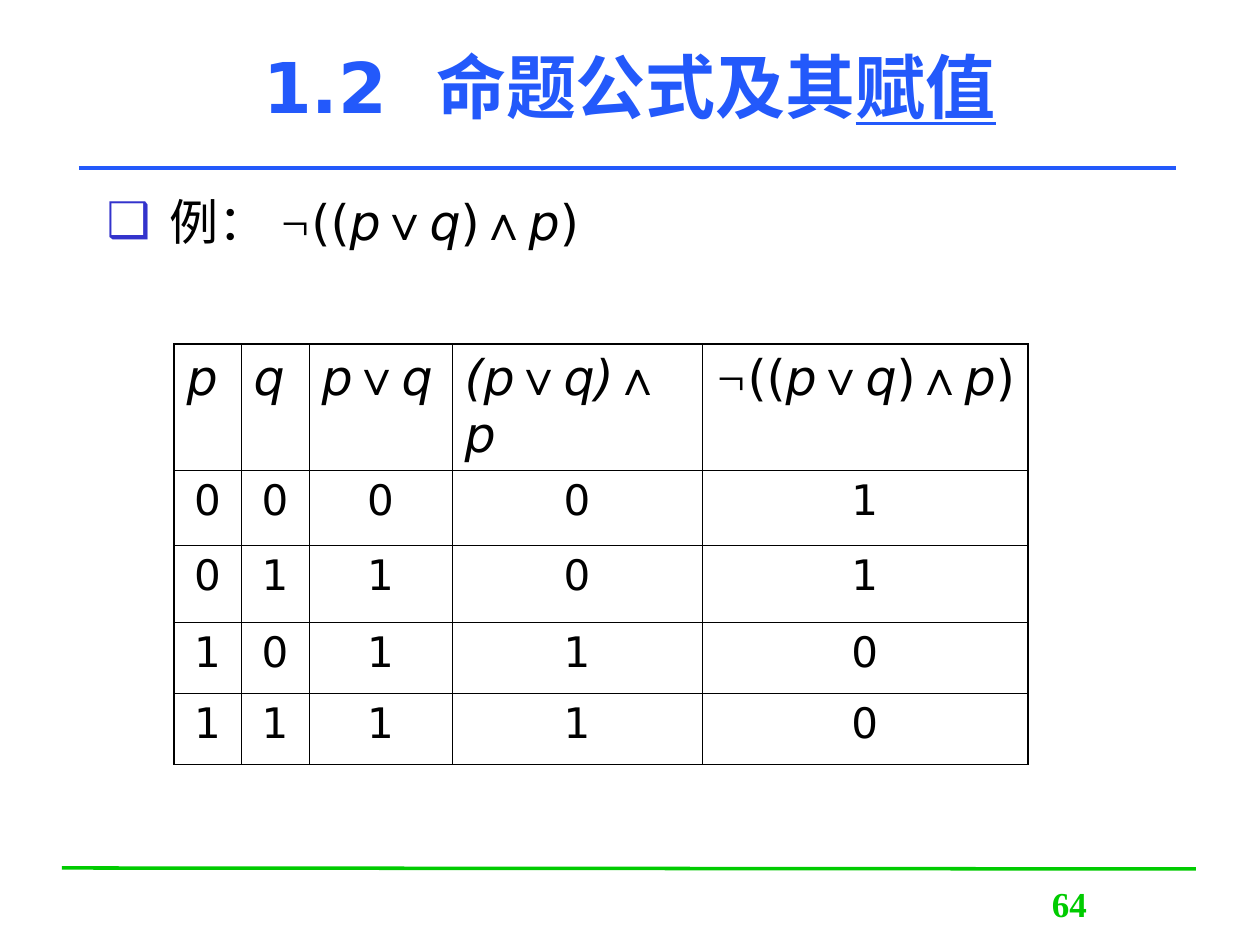
from itertools import groupby

from lxml import etree
from pptx import Presentation
from pptx.dml.color import RGBColor
from pptx.enum.shapes import MSO_CONNECTOR
from pptx.enum.text import MSO_ANCHOR, MSO_AUTO_SIZE, PP_ALIGN
from pptx.oxml.ns import qn
from pptx.util import Emu, Pt

STRAIGHT = MSO_CONNECTOR.STRAIGHT
LEFT, CENTER = PP_ALIGN.LEFT, PP_ALIGN.CENTER
TOP, MIDDLE = MSO_ANCHOR.TOP, MSO_ANCHOR.MIDDLE
NO_AUTOFIT = MSO_AUTO_SIZE.NONE

BLUE = RGBColor(0x23, 0x59, 0xFB)
GREEN = RGBColor(0x00, 0xCB, 0x00)
INDIGO = RGBColor(0x33, 0x33, 0xCC)
BLACK = RGBColor(0x00, 0x00, 0x00)

SANS, SERIF, SYMBOL = "DejaVu Sans", "Times New Roman", "Arial"
OUTER, INNER = Pt(1.08), Pt(0.45)

FORMULA = "¬((p∨q)∧p)"
HEADERS = ["p", "q", "p∨q", "(p∨q)∧p", FORMULA]
TRUTH_ROWS = ["00001", "01101", "10110", "11110"]
COLUMN_WIDTHS = [67, 68, 143, 250, 326]
ROW_HEIGHTS = [72, 75, 77, 71, 71]


def px(value):
    return Emu(round(value * 914400 / 126))


def write(paragraph, text, font=SANS, size=28, color=BLACK, bold=False,
          italic=False, underline=False, spacing=None):
    run = paragraph.add_run()
    run.text = text
    run.font.name = font
    run.font.size = Pt(size)
    run.font.color.rgb = color
    run.font.bold = bold
    run.font.italic = italic
    run.font.underline = underline
    properties = run._r.get_or_add_rPr()
    properties.set("lang", "zh-CN")
    if spacing:
        properties.set("spc", str(spacing * 100))


def write_formula(paragraph, formula, italic_brackets=False):
    """Letters are italic, operators upright in the symbol font."""
    def style(character):
        if character == "¬":
            return SERIF, True
        if character in "∨∧":
            return SYMBOL, False
        return SANS, character.isalpha() or italic_brackets

    for (font, italic), characters in groupby(formula, style):
        write(paragraph, "".join(characters), font=font, italic=italic)


def prepare_frame(shape, alignment, anchor=TOP):
    frame = shape.text_frame
    frame.word_wrap = True
    frame.auto_size = NO_AUTOFIT
    frame.vertical_anchor = anchor
    paragraph = frame.paragraphs[0]
    paragraph.alignment = alignment
    paragraph.space_before = Pt(0)
    return paragraph


def place(shape, left, top, width, height):
    shape.left, shape.top = px(left), px(top)
    shape.width, shape.height = px(width), px(height)


def add_rule(slide, start, end, color):
    line = slide.shapes.add_connector(STRAIGHT, *map(px, start + end))
    line.line.color.rgb = color
    line.line.width = Pt(2)
    etree.SubElement(line._element.spPr, qn("a:effectLst"))


def add_bullet(paragraph, character, color, indent):
    properties = paragraph._p.get_or_add_pPr()
    properties.set("marL", str(indent))
    properties.set("indent", str(-indent))
    bullet_color = etree.SubElement(properties, qn("a:buClr"))
    etree.SubElement(bullet_color, qn("a:srgbClr"), val=str(color))
    etree.SubElement(properties, qn("a:buChar"), char=character)


def set_borders(cell, widths):
    properties = cell._tc.get_or_add_tcPr()
    for position, (side, width) in enumerate(widths.items()):
        border = etree.Element(qn(f"a:ln{side}"), w=str(width))
        fill = etree.SubElement(border, qn("a:solidFill"))
        etree.SubElement(fill, qn("a:srgbClr"), val=str(BLACK))
        properties.insert(position, border)


def add_truth_table(slide, left, top):
    row_count, column_count = len(ROW_HEIGHTS), len(COLUMN_WIDTHS)
    table = slide.shapes.add_table(
        row_count, column_count, px(left), px(top),
        px(sum(COLUMN_WIDTHS)), px(sum(ROW_HEIGHTS))).table
    table.first_row = table.horz_banding = False
    for column, width in zip(table.columns, COLUMN_WIDTHS):
        column.width = px(width)
    for row, height in zip(table.rows, ROW_HEIGHTS):
        row.height = px(height)

    for row, values in enumerate([HEADERS, *TRUTH_ROWS]):
        for column, value in enumerate(values):
            cell = table.cell(row, column)
            cell.fill.background()
            set_borders(cell, {
                "L": OUTER if column == 0 else INNER,
                "R": OUTER if column == column_count - 1 else INNER,
                "T": OUTER if row == 0 else INNER,
                "B": OUTER if row == row_count - 1 else INNER,
            })
            paragraph = cell.text_frame.paragraphs[0]
            if row == 0:
                write_formula(paragraph, value,
                              italic_brackets=value.startswith("("))
            else:
                paragraph.alignment = CENTER
                write(paragraph, value, size=24)


def main():
    presentation = Presentation()
    presentation.slide_width, presentation.slide_height = px(1260), px(945)
    slide = presentation.slides.add_slide(presentation.slide_layouts[1])
    title, body = slide.placeholders

    # Rules and page number
    add_rule(slide, (62, 868), (1196, 869), GREEN)
    add_rule(slide, (79, 168), (1176, 168), BLUE)
    number = slide.shapes.add_textbox(px(970), px(876), px(199), px(63))
    write(prepare_frame(number, CENTER), "64",
          font=SERIF, size=20, color=GREEN, bold=True)

    # Title
    place(title, 94, 6, 1071, 158)
    heading = prepare_frame(title, CENTER, MIDDLE)
    heading_format = {"size": 40, "color": BLUE, "bold": True}
    write(heading, "1.2", **heading_format)
    write(heading, " ", spacing=14, **heading_format)
    write(heading, "命题公式及其", **heading_format)
    write(heading, "赋值", underline=True, **heading_format)

    # Example formula
    place(body, 94, 185, 1091, 674)
    example = prepare_frame(body, LEFT)
    add_bullet(example, "❑", INDIGO, px(63))
    write(example, "例： ", font=SERIF)
    write_formula(example, FORMULA)

    # Truth table
    add_truth_table(slide, 174, 344)

    presentation.save("out.pptx")


if __name__ == "__main__":
    main()
